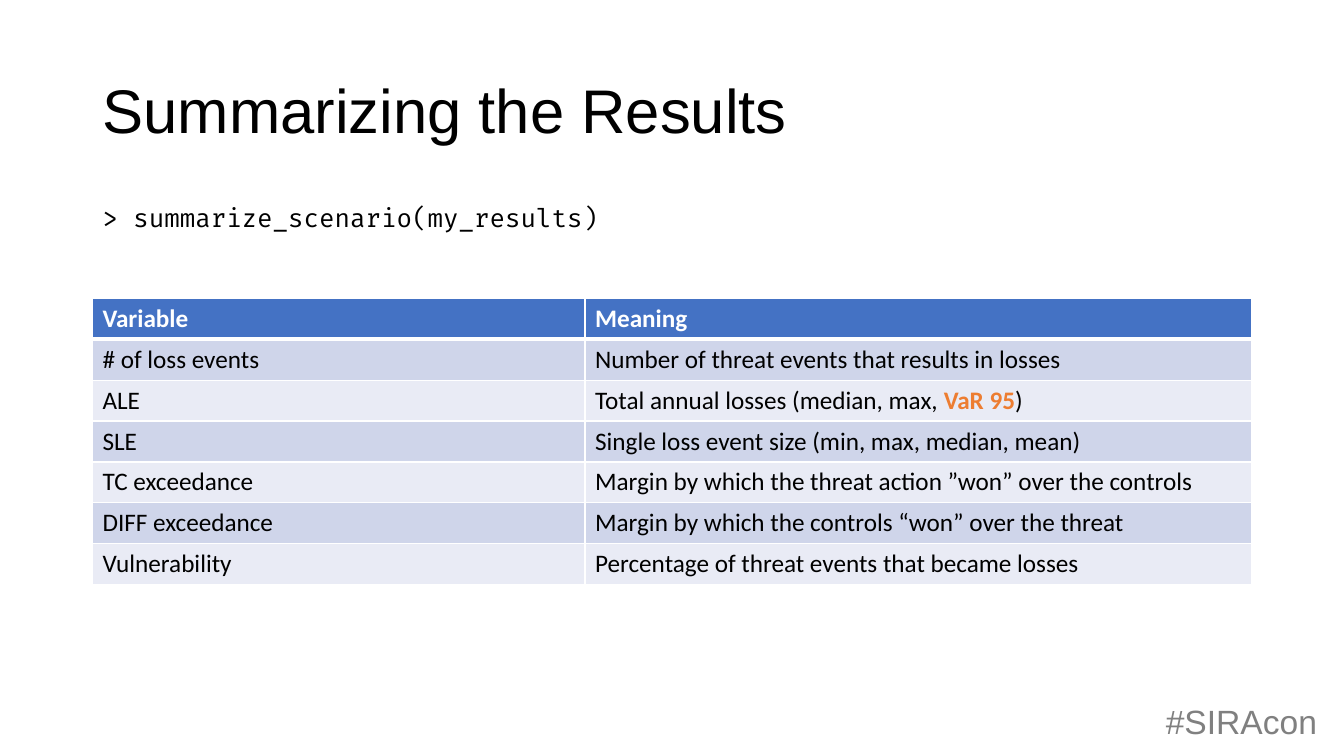
from dataclasses import dataclass

from lxml import etree
from pptx import Presentation
from pptx.dml.color import RGBColor
from pptx.enum import text as t
from pptx.oxml import ns
from pptx.util import Cm, Pt


@dataclass(frozen=True)
class Theme:
    black: str = "000000"
    white: str = "FFFFFF"
    grey: str = "808080"
    header: str = "4472C4"
    bands: tuple = ("CFD5EA", "E9EBF5")
    accent: str = "ED7D31"
    heading_font: str = "Arial"
    body_font: str = "Calibri"
    code_font: str = "Fira Code"
    title_size: int = 44
    tag_size: int = 24
    body_size: int = 18


THEME = Theme()

HEADER = ("Variable", "Meaning")
VARIABLES = [
    ("# of loss events", "Number of threat events that results in losses"),
    ("ALE", ("Total annual losses (median, max, ", "VaR 95", ")")),
    ("SLE", "Single loss event size (min, max, median, mean)"),
    ("TC exceedance", "Margin by which the threat action ”won” over the controls"),
    ("DIFF exceedance", "Margin by which the controls “won” over the threat"),
    ("Vulnerability", "Percentage of threat events that became losses"),
]


def add_run(p, words, font=THEME.body_font, size=THEME.body_size,
            color=THEME.black, bold=False):
    r = p.add_run()
    r.text = words
    r.font.name = font
    r.font.size = Pt(size)
    r.font.bold = bold
    r.font.color.rgb = RGBColor.from_string(color)


def place(sp, box):
    sp.left, sp.top, sp.width, sp.height = (Cm(v) for v in box)


def title(s, box, words):
    sp = s.shapes.title
    place(sp, box)
    tf = sp.text_frame
    tf.auto_size = t.MSO_AUTO_SIZE.NONE
    tf.vertical_anchor = t.MSO_ANCHOR.MIDDLE
    p = tf.paragraphs[0]
    p.alignment = t.PP_ALIGN.LEFT
    p.line_spacing = 0.9
    add_run(p, words, THEME.heading_font, THEME.title_size)


def text_line(s, box, words, line_spacing=1.0, wrap=True, **fmt):
    tf = s.shapes.add_textbox(*(Cm(v) for v in box)).text_frame
    tf.word_wrap = wrap
    p = tf.paragraphs[0]
    p.line_spacing = line_spacing
    add_run(p, words, **fmt)


def cell_borders(cell, bottom):
    """Draw white borders, 1 pt wide except for the given bottom width."""
    tcPr = cell._tc.get_or_add_tcPr()
    for side, width in (("L", 1), ("R", 1), ("T", 1), ("B", bottom)):
        ln = etree.SubElement(tcPr, ns.qn(f"a:ln{side}"), w=str(Pt(width)))
        fill = etree.SubElement(ln, ns.qn("a:solidFill"))
        etree.SubElement(fill, ns.qn("a:srgbClr"), val=THEME.white)


def fill_cell(cell, content, fill, color=THEME.black, bold=False, bottom=1):
    """Write a string, or a (before, highlighted, after) tuple, into a cell."""
    cell_borders(cell, bottom)
    cell.fill.solid()
    cell.fill.fore_color.rgb = RGBColor.from_string(fill)
    parts = (content,) if isinstance(content, str) else content
    p = cell.text_frame.paragraphs[0]
    for i, words in enumerate(parts):
        if i == 1:
            add_run(p, words, color=THEME.accent, bold=True)
        else:
            add_run(p, words, color=color, bold=bold)


def variable_table(s, box, first_share=0.425):
    rows = [HEADER, *VARIABLES]
    left, top, width, height = box
    table = s.shapes.add_table(len(rows), len(HEADER), Cm(left), Cm(top),
                               Cm(width), Cm(height)).table
    for column, share in zip(table.columns, (first_share, 1 - first_share)):
        column.width = Cm(width * share)
    for i, row in enumerate(rows):
        table.rows[i].height = Cm(height / len(rows))
        for cell, content in zip(table.rows[i].cells, row):
            if i == 0:
                fill_cell(cell, content, THEME.header, THEME.white,
                          bold=True, bottom=3)
            else:
                fill_cell(cell, content, THEME.bands[(i - 1) % 2])


def results_slide(prs):
    s = prs.slides.add_slide(prs.slide_layouts[5])
    left, width = 2.33, 29.21
    text_line(s, (29.13, 17.53, 4.42, 1.27), "#SIRAcon", wrap=False,
              font=THEME.heading_font, size=THEME.tag_size, color=THEME.grey)
    title(s, (left, 1.01, width, 3.68), "Summarizing the Results")
    text_line(s, (left, 5.07, width, 1.2), "> summarize_scenario(my_results)",
              line_spacing=0.9, font=THEME.code_font)
    variable_table(s, (left, 7.52, width, 7.21))


def main():
    prs = Presentation()
    prs.slide_width, prs.slide_height = Cm(33.87), Cm(19.05)
    results_slide(prs)
    prs.save("out.pptx")


if __name__ == "__main__":
    main()
